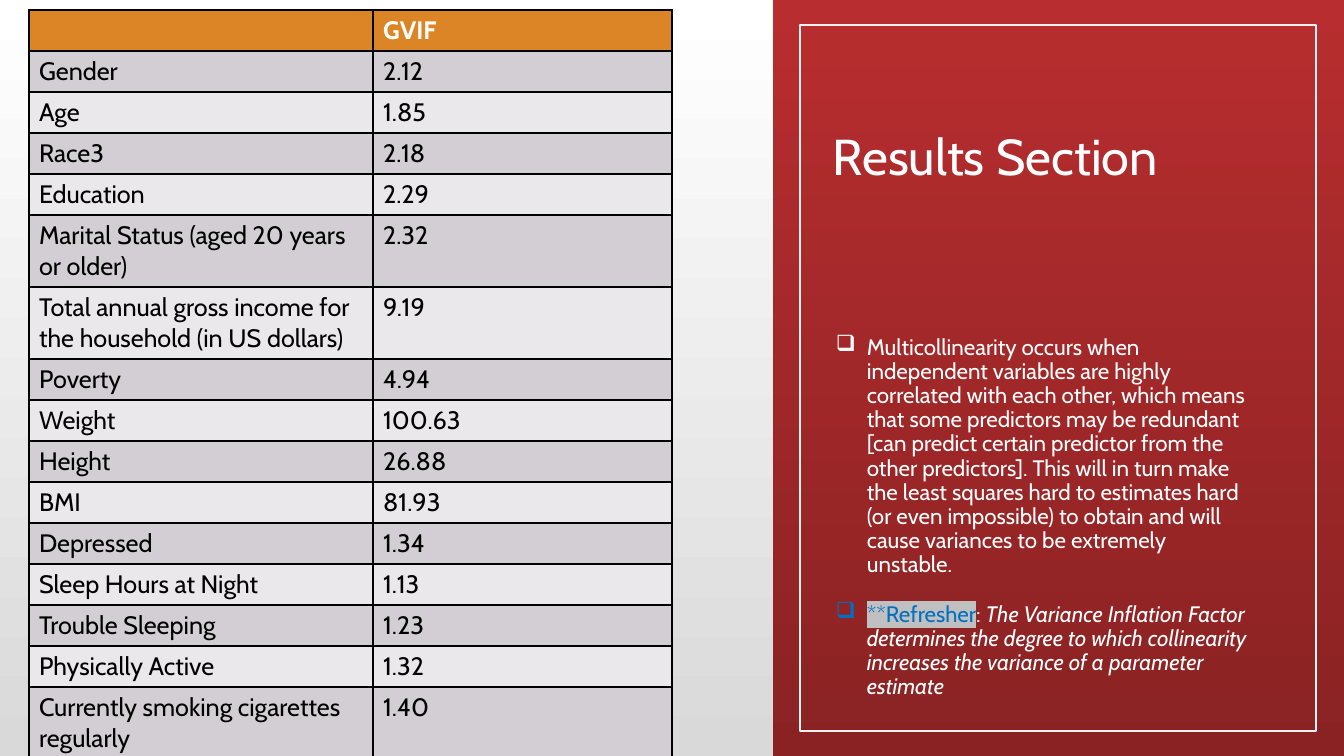
from lxml import etree
from pptx import Presentation
from pptx.dml.color import RGBColor
from pptx.enum.shapes import MSO_SHAPE
from pptx.enum.text import MSO_ANCHOR
from pptx.oxml.ns import qn
from pptx.util import Inches, Pt

RECTANGLE = MSO_SHAPE.RECTANGLE
TOP, BOTTOM = MSO_ANCHOR.TOP, MSO_ANCHOR.BOTTOM
PX = Inches(1) / 100.8
FONT = "Cabin"
COLORS = {
    "white": "FFFFFF", "black": "000000", "backdrop": "D9D9D9",
    "panel_top": "B82D2F", "panel_bottom": "8A2223", "frame": "F2F2F2",
    "header": "DB8526", "odd_row": "D2CED3", "even_row": "EAE8EA",
    "refresher": "0070C0", "highlight": "C0C0C0",
}
GVIF = [
    ("", "GVIF"),
    ("Gender", "2.12"),
    ("Age", "1.85"),
    ("Race3", "2.18"),
    ("Education", "2.29"),
    ("Marital Status (aged 20 years or older)", "2.32"),
    ("Total annual gross income for the household (in US dollars)", "9.19"),
    ("Poverty", "4.94"),
    ("Weight", "100.63"),
    ("Height", "26.88"),
    ("BMI", "81.93"),
    ("Depressed", "1.34"),
    ("Sleep Hours at Night", "1.13"),
    ("Trouble Sleeping", "1.23"),
    ("Physically Active", "1.32"),
    ("Currently smoking cigarettes regularly", "1.40"),
]
NOTES = [
    [("Multicollinearity occurs when independent variables are highly "
      "correlated with each other, which means that some predictors may be "
      "redundant [can predict certain predictor from the other predictors]. "
      "This will in turn make the least squares hard to estimates hard (or "
      "even impossible) to obtain and will cause variances to be extremely "
      "unstable.", "white", {})],
    [("**Refresher", "refresher", {}),
     (": ", "white", {}),
     ("The Variance Inflation Factor determines the degree to which "
      "collinearity increases the variance of a parameter estimate",
      "white", {"italic": True})],
]


def px(*lengths):
    return [round(length * PX) for length in lengths]


def add_run(paragraph, text, color, size, **formats):
    run = paragraph.add_run()
    run.text = text
    run.font.color.rgb = RGBColor.from_string(COLORS[color])
    for key, value in {"name": FONT, "size": Pt(size), **formats}.items():
        setattr(run.font, key, value)
    return run


prs = Presentation()
prs.slide_width, prs.slide_height = px(1344, 756)
slide = prs.slides.add_slide(prs.slide_layouts[6])

panel = slide.shapes.add_shape(RECTANGLE, *px(773, 0, 571, 756))
panel.shadow.inherit = False
panel.line.fill.background()
for fill, top, bottom in [
    (slide.background.fill, "white", "backdrop"),
    (panel.fill, "panel_top", "panel_bottom"),
]:
    fill.gradient()
    fill.gradient_angle = 270
    for stop, color, position in zip(fill.gradient_stops, (top, bottom), (0, 1)):
        stop.color.rgb = RGBColor.from_string(COLORS[color])
        stop.position = position

frame = slide.shapes.add_shape(RECTANGLE, *px(800, 25, 516, 706))
frame.shadow.inherit = False
frame.fill.background()
frame.line.color.rgb = RGBColor.from_string(COLORS["frame"])
frame.line.width = Pt(1.25)

title = slide.shapes.add_textbox(*px(823, 69, 433, 122)).text_frame
title.word_wrap = True
title.vertical_anchor = BOTTOM
title.paragraphs[0].line_spacing = 0.9
add_run(title.paragraphs[0], "Results Section", "white", 36)

row_heights = px(*[72 if len(name) > 30 else 41 for name, _ in GVIF])
table = slide.shapes.add_table(
    len(GVIF), 2, *px(29, 10, 643), sum(row_heights)).table
for column, width in zip(table.columns, px(344, 299)):
    column.width = width
for index, entry in enumerate(GVIF):
    table.rows[index].height = row_heights[index]
    band = "header" if index == 0 else "odd_row" if index % 2 else "even_row"
    for cell, text in zip(table.rows[index].cells, entry):
        properties = cell._tc.get_or_add_tcPr()
        for edge in ("a:lnL", "a:lnR", "a:lnT", "a:lnB"):
            border = etree.SubElement(properties, qn(edge), w=str(Pt(1)))
            paint = etree.SubElement(border, qn("a:solidFill"))
            etree.SubElement(paint, qn("a:srgbClr"), val=COLORS["black"])
        cell.fill.solid()
        cell.fill.fore_color.rgb = RGBColor.from_string(COLORS[band])
        if text:
            add_run(cell.text_frame.paragraphs[0], text,
                    "black" if index else "white", 18, bold=index == 0)

notes = slide.shapes.add_textbox(*px(826, 331, 433, 385)).text_frame
notes.word_wrap = True
notes.vertical_anchor = TOP
for index, runs in enumerate(NOTES):
    paragraph = notes.add_paragraph() if index else notes.paragraphs[0]
    paragraph.line_spacing = 0.9
    paragraph.space_before = Pt(18)
    properties = paragraph._p.get_or_add_pPr()
    indent, = px(31)
    properties.set("marL", str(indent))
    properties.set("indent", str(-indent))
    etree.SubElement(properties, qn("a:buChar"), char="❑")
    for text, color, formats in runs:
        run = add_run(paragraph, text, color, 16, **formats)
        if color == "refresher":
            highlight = etree.Element(qn("a:highlight"))
            etree.SubElement(highlight, qn("a:srgbClr"), val=COLORS["highlight"])
            run._r.rPr.find(qn("a:solidFill")).addnext(highlight)

prs.save("out.pptx")
